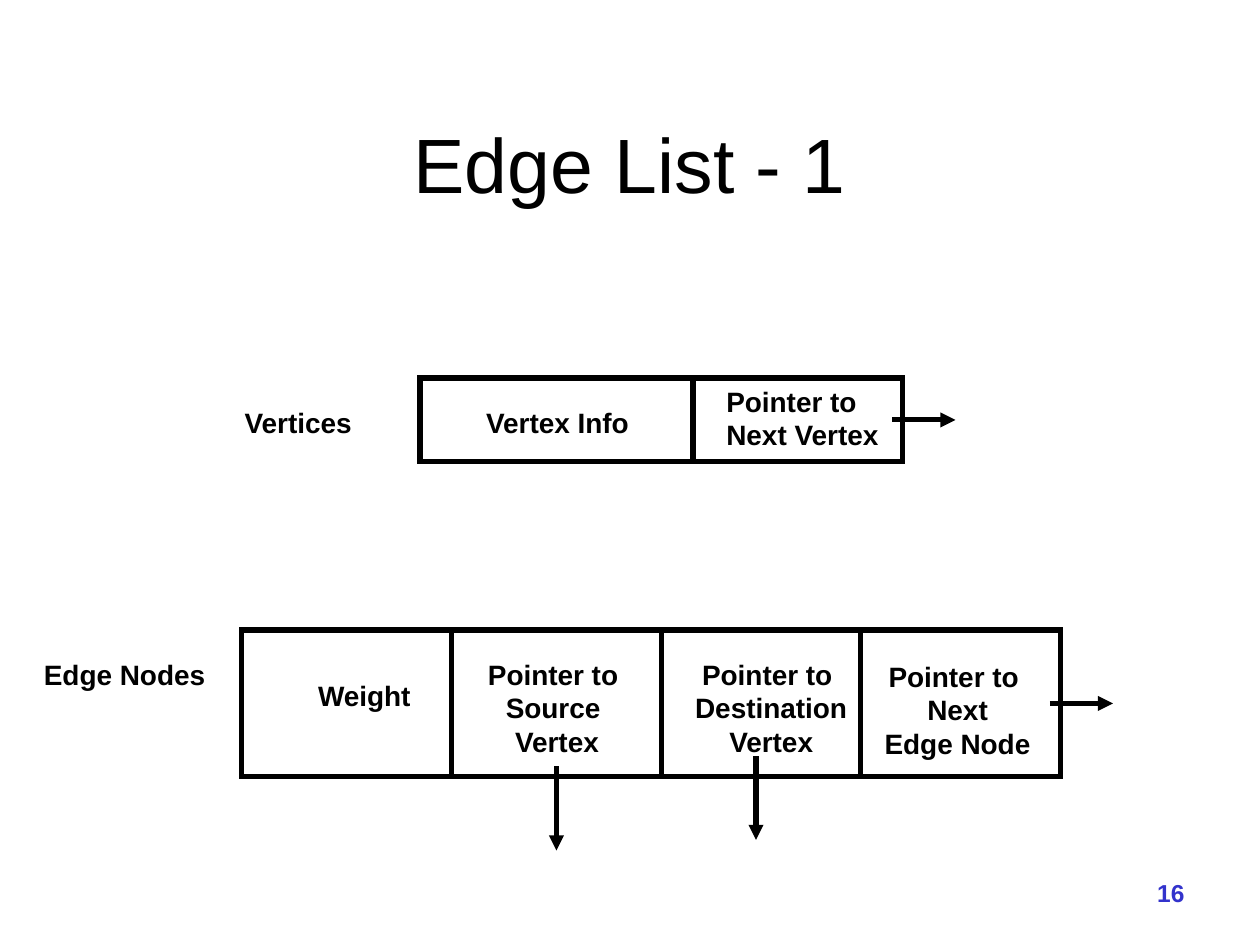
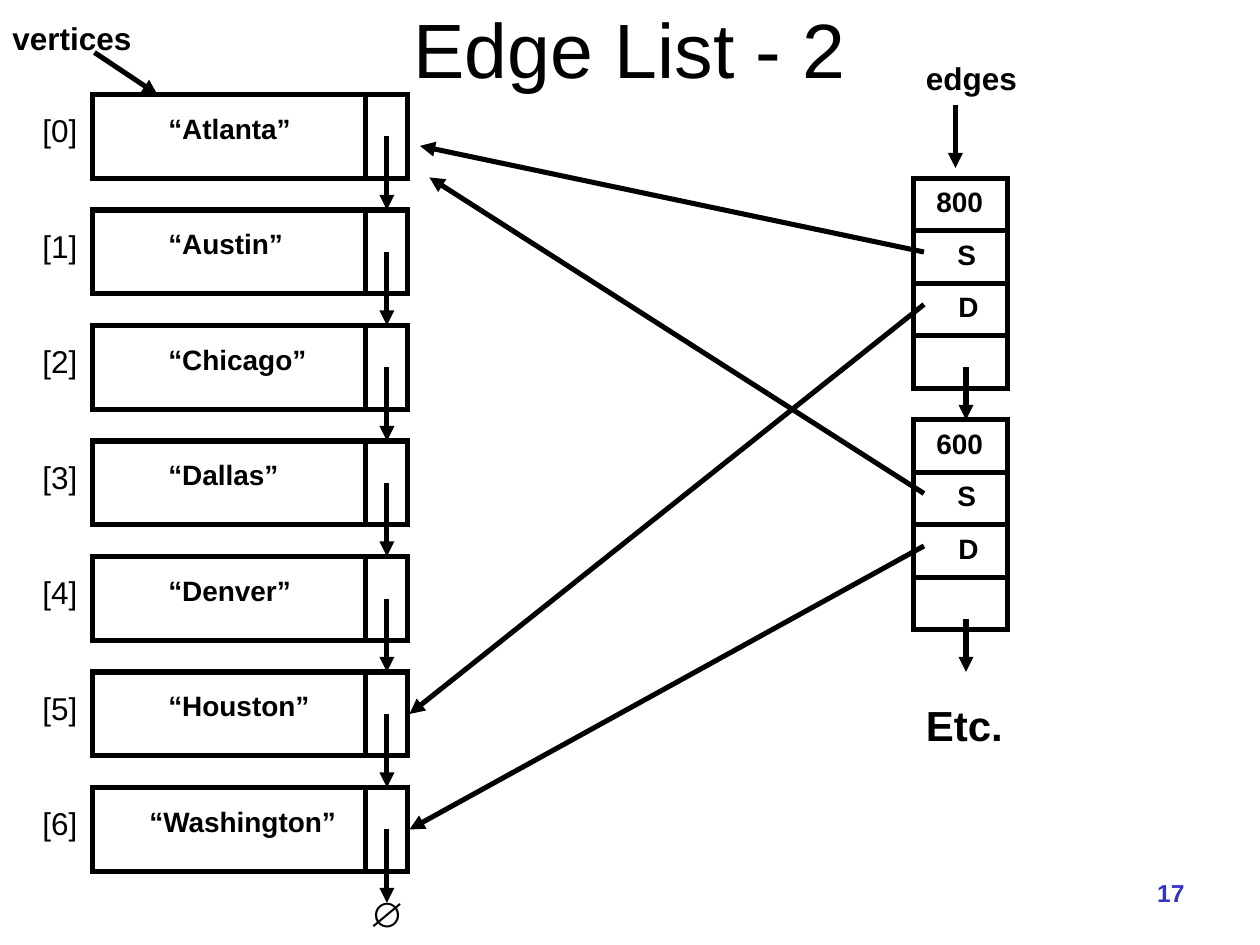
from lxml.etree import SubElement
from pptx import Presentation
from pptx.dml.color import RGBColor
from pptx.enum.shapes import MSO_CONNECTOR, MSO_SHAPE
from pptx.enum.text import MSO_ANCHOR, MSO_AUTO_SIZE, PP_ALIGN
from pptx.oxml.ns import qn
from pptx.util import Inches, Pt

BLACK = RGBColor(0x00, 0x00, 0x00)
BLUE = RGBColor(0x33, 0x33, 0xCC)
LEFT, CENTER, RIGHT = PP_ALIGN.LEFT, PP_ALIGN.CENTER, PP_ALIGN.RIGHT


class Diagram:
    """Draws on a grid of 120 columns by 90 rows, twelve to the inch."""

    font = "Arial"
    stroke = Pt(2.89)
    cell = Inches(1) / 12

    def __init__(self):
        self.deck = Presentation()
        self.deck.slide_width = self.length(120)
        self.deck.slide_height = self.length(90)
        self.page = None

    def length(self, cells):
        return round(cells * self.cell)

    def place(self, *cells):
        return [self.length(value) for value in cells]

    def new_page(self, title, title_row, title_height, number):
        self.page = self.deck.slides.add_slide(self.deck.slide_layouts[6])
        self.text(title, 9, title_row, 102, title_height, size=44, bold=False,
                  align=CENTER, anchor=MSO_ANCHOR.MIDDLE, fit=False)
        self.text(number, 89, 83, 25, 4.9, size=14, color=BLUE,
                  align=RIGHT, fit=False)

    def text(self, content, column, row, width, height=4.4, size=16, bold=True,
             color=BLACK, align=LEFT, anchor=MSO_ANCHOR.TOP, fit=True, wrap=False):
        box = self.page.shapes.add_textbox(*self.place(column, row, width, height))
        frame = box.text_frame
        frame.word_wrap = wrap or not fit
        frame.auto_size = MSO_AUTO_SIZE.SHAPE_TO_FIT_TEXT if fit else MSO_AUTO_SIZE.NONE
        frame.vertical_anchor = anchor
        for index, line in enumerate(content.split("\n")):
            para = frame.add_paragraph() if index else frame.paragraphs[0]
            para.alignment = align
            span = para.add_run()
            span.text = line
            span.font.name = self.font
            span.font.size = Pt(size)
            span.font.bold = bold
            span.font.color.rgb = color

    def outline(self, line):
        line.color.rgb = BLACK
        line.width = self.stroke
        outline = line._get_or_add_ln()
        SubElement(outline, qn("a:miter"), lim="800000")
        return outline

    def box(self, column, row, width, height):
        box = self.page.shapes.add_shape(
            MSO_SHAPE.RECTANGLE, *self.place(column, row, width, height))
        box.shadow.inherit = False
        box.fill.background()
        self.outline(box.line)

    def box_row(self, column, row, widths, height):
        for width in widths:
            self.box(column, row, width, height)
            column += width

    def arrow(self, *ends):
        arrow = self.page.shapes.add_connector(
            MSO_CONNECTOR.STRAIGHT, *self.place(*ends))
        SubElement(self.outline(arrow.line), qn("a:tailEnd"), type="triangle")
        SubElement(arrow._element.spPr, qn("a:effectLst"))


def draw_node_layouts(diagram):
    diagram.new_page("Edge List - 1", 10, 11, "16")

    # Vertex node
    diagram.box_row(40, 36, (26, 20), 8)
    diagram.text("Vertices", 22, 38, 12.8, align=CENTER)
    diagram.text("Vertex Info", 45, 38, 16.2, align=CENTER)
    diagram.text("Pointer to\nNext Vertex", 68, 36, 17.1, 7.7, wrap=True)
    diagram.arrow(85, 40, 91, 40)

    # Edge node
    diagram.box_row(23, 60, (20, 20, 19, 19), 14)
    diagram.text("Edge Nodes", 3, 62, 17.9)
    diagram.text("Weight", 29, 64, 11.4, align=CENTER)
    pointers = (
        ("Pointer to \nSource \nVertex", 45, 62, 16.1, True),
        ("Pointer to \nDestination\nVertex", 64.9, 62, 17.1, False),
        ("Pointer to \nNext\nEdge Node", 83, 62.2, 16.4, False),
    )
    for label, column, row, width, wrap in pointers:
        diagram.text(label, column, row, width, 10.8, align=CENTER, wrap=wrap)
    diagram.arrow(53, 73, 53, 81)
    diagram.arrow(72, 72, 72, 80)
    diagram.arrow(100, 67, 106, 67)


def draw_linked_lists(diagram):
    diagram.new_page("Edge List - 2", -0.5, 10, "17")

    # Vertex list: name, text column, text width
    cities = (
        ("Atlanta", 14.85, 14.2), ("Austin", 14.85, 13.5), ("Chicago", 14.85, 15.7),
        ("Dallas", 14.85, 13), ("Denver", 14.85, 14.2), ("Houston", 14.85, 16),
        ("Washington", 13.05, 20.4),
    )
    for index, (city, column, width) in enumerate(cities):
        row = 9 + 11 * index
        diagram.text(f"[{index}]", 2.85, row + 1, 5.9, 4.8, size=18, bold=False)
        diagram.box_row(8.85, row, (26, 4), 8)
        diagram.text(f"“{city}”", column, row + 1, width)
        diagram.arrow(36.85, row + 4, 36.85, row + 11)
    diagram.text("∅", 34, 84.4, 5.3, 5.3, size=20)

    # Edge list: weight, top row, next pointer row, source tip, destination tip
    edges = (
        ("800", 17, 35, (40, 13.9), (39, 68)),
        ("600", 40, 59, (40.9, 16.9), (39, 79)),
    )
    for weight, row, next_row, source, destination in edges:
        fields = ((weight, 88, 6.9), ("S", 90, 4.3), ("D", 90.1, 4.4))
        for index in range(4):
            diagram.box(87, row + 5 * index, 9, 5)
        for index, (label, column, width) in enumerate(fields):
            diagram.text(label, column, row + 5 * index, width)
        diagram.arrow(88, row + 7, *source)
        diagram.arrow(88, row + 12, *destination)
        diagram.arrow(92, next_row, 92, next_row + 5)

    # List heads and continuation
    diagram.text("vertices", 0, 1.2, 13.8, 4.8, size=18)
    diagram.arrow(9, 5, 15, 9)
    diagram.text("edges", 87, 5, 11.2, 4.8, size=18)
    diagram.arrow(91, 10, 91, 16)
    diagram.text("Etc.", 87, 66, 9.8, 6, size=24)


def main():
    diagram = Diagram()
    draw_node_layouts(diagram)
    draw_linked_lists(diagram)
    diagram.deck.save("out.pptx")


if __name__ == "__main__":
    main()
